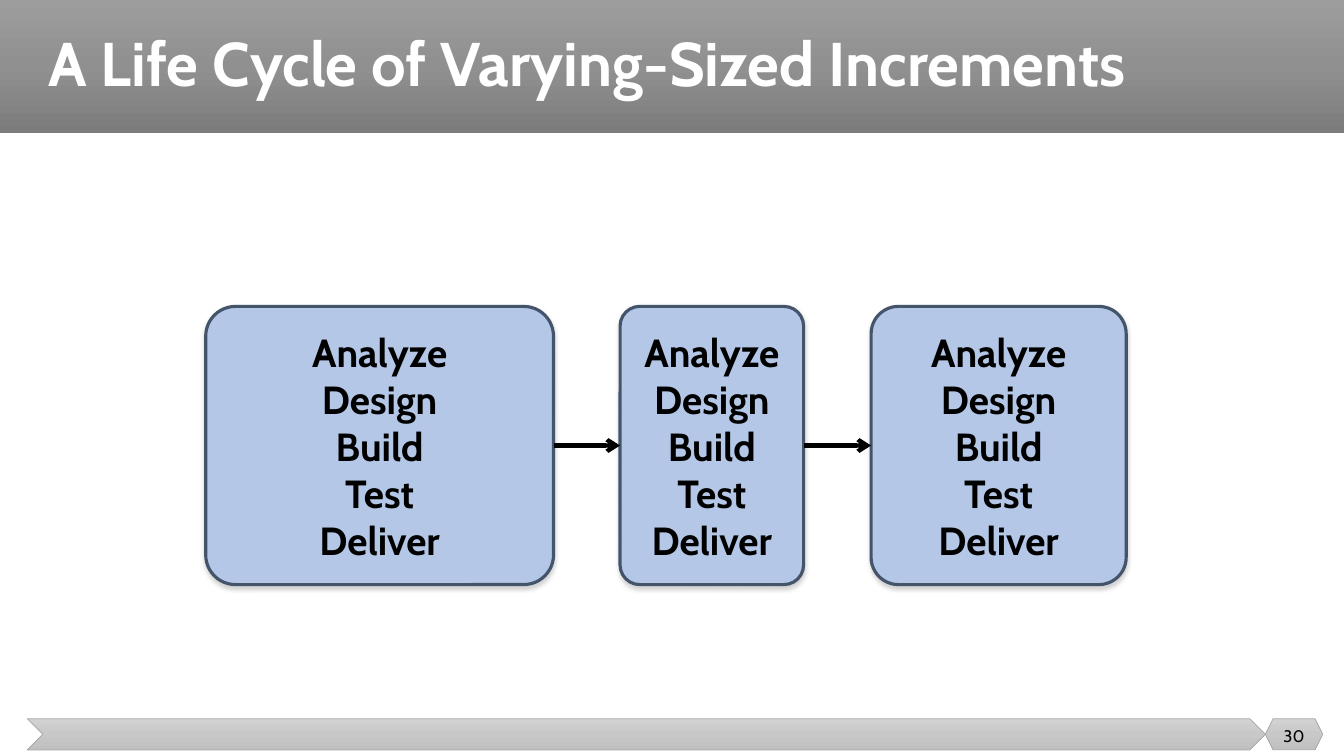
from copy import deepcopy

from lxml.etree import SubElement
from pptx import Presentation
from pptx.dml.color import RGBColor
from pptx.enum.shapes import MSO_CONNECTOR, MSO_SHAPE
from pptx.enum.text import MSO_ANCHOR, PP_ALIGN
from pptx.oxml import parse_xml
from pptx.oxml.ns import nsdecls, qn
from pptx.util import Inches, Pt

FONT = "Cabin"
COLORS = {
    "white": "FFFFFF",
    "black": "000000",
    "box": "B4C7E7",
    "box_line": "44546A",
    "footer_line": "A5A5A5",
    "shadow": "808080",
}
HEADER_GRADIENT = ["9D9D9D", "909090", "7C7C7C"]
FOOTER_GRADIENT = ["D2D2D2", "C8C8C8", "C0C0C0"]
STEPS = ["Analyze", "Design", "Build", "Test", "Deliver"]
INCREMENTS = [(2.04, 3.45), (6.15, 1.82), (8.64, 2.53)]


def color(name):
    return RGBColor.from_string(COLORS[name])


def style_paragraph(paragraph, size, color_name, bold=False):
    font = paragraph.font
    font.name = FONT
    font.size = Pt(size)
    font.bold = bold
    font.color.rgb = color(color_name)


def add_gradient_shape(slide, kind, box, gradient):
    shape = slide.shapes.add_shape(kind, *map(Inches, box))
    shape.shadow.inherit = False
    shape.line.fill.background()
    fill = shape.fill
    fill.gradient()
    fill.gradient_angle = 270
    stop_list = shape.element.spPr.find(qn("a:gradFill")).find(qn("a:gsLst"))
    stop_list.insert(1, deepcopy(stop_list[0]))
    for stop, position, shade in zip(fill.gradient_stops, (0, 0.5, 1), gradient):
        stop.position = position
        stop.color.rgb = RGBColor.from_string(shade)
    return shape


def add_header(slide, box, text):
    left, top, width, height = box
    add_gradient_shape(slide, MSO_SHAPE.RECTANGLE, box, HEADER_GRADIENT)
    title = slide.shapes.title
    slide.shapes.element.append(title.element)
    title.left, title.top = Inches(left + 0.38), Inches(top)
    title.width, title.height = Inches(width - 0.59), Inches(height)
    frame = title.text_frame
    frame.text = text
    frame.vertical_anchor = MSO_ANCHOR.MIDDLE
    paragraph = frame.paragraphs[0]
    paragraph.alignment = PP_ALIGN.LEFT
    paragraph.line_spacing = 0.9
    style_paragraph(paragraph, 44, "white", bold=True)


def add_footer(slide, box, page):
    left, top, width, height = box
    page_width = 0.57
    page_left = left + width - page_width
    for kind, part_left, part_width in (
        (MSO_SHAPE.CHEVRON, left, width - page_width),
        (MSO_SHAPE.HEXAGON, page_left, page_width),
    ):
        shape = add_gradient_shape(
            slide, kind, (part_left, top, part_width, height), FOOTER_GRADIENT
        )
        shape.line.color.rgb = color("footer_line")
        shape.line.width = Pt(0.5)
    number = slide.shapes.add_textbox(
        Inches(page_left), Inches(top - 0.03), Inches(page_width), Inches(0.4)
    )
    frame = number.text_frame
    frame.word_wrap = True
    frame.vertical_anchor = MSO_ANCHOR.MIDDLE
    frame.text = page
    frame.paragraphs[0].alignment = PP_ALIGN.CENTER
    style_paragraph(frame.paragraphs[0], 12, "black")


def add_shadow(shape):
    shape.element.spPr.append(parse_xml(
        f'<a:effectLst {nsdecls("a")}>'
        f'<a:outerShdw blurRad="{Pt(3.1)}" dist="{Pt(1.8)}" dir="5400000" rotWithShape="0">'
        f'<a:srgbClr val="{COLORS["shadow"]}"><a:alpha val="35000"/></a:srgbClr>'
        "</a:outerShdw></a:effectLst>"
    ))


def add_increment(slide, box):
    shape = slide.shapes.add_shape(MSO_SHAPE.ROUNDED_RECTANGLE, *map(Inches, box))
    shape.adjustments[0] = 0.107
    shape.fill.solid()
    shape.fill.fore_color.rgb = color("box")
    shape.line.color.rgb = color("box_line")
    shape.line.width = Pt(2.25)
    add_shadow(shape)
    frame = shape.text_frame
    frame.margin_left = frame.margin_right = frame.margin_top = frame.margin_bottom = 0
    frame.vertical_anchor = MSO_ANCHOR.MIDDLE
    frame.text = "\n".join(STEPS)
    for paragraph in frame.paragraphs:
        paragraph.alignment = PP_ALIGN.CENTER
        style_paragraph(paragraph, 28, "black", bold=True)
    return shape


def add_arrow(slide, source, target):
    arrow = slide.shapes.add_connector(MSO_CONNECTOR.STRAIGHT, 0, 0, 0, 0)
    arrow.begin_connect(source, 3)
    arrow.end_connect(target, 1)
    arrow.line.color.rgb = color("black")
    arrow.line.width = Pt(3)
    SubElement(arrow.line._get_or_add_ln(), qn("a:tailEnd"), type="arrow")
    SubElement(arrow.element.spPr, qn("a:effectLst"))


def add_life_cycle(slide, top, height):
    increments = [
        add_increment(slide, (left, top, width, height)) for left, width in INCREMENTS
    ]
    for source, target in zip(increments, increments[1:]):
        add_arrow(slide, source, target)


def main():
    presentation = Presentation()
    presentation.slide_width = Inches(13.33)
    presentation.slide_height = Inches(7.5)
    slide = presentation.slides.add_slide(presentation.slide_layouts[5])
    add_header(slide, (0, 0, 13.33, 1.32), "A Life Cycle of Varying-Sized Increments")
    add_footer(slide, (0.27, 7.13, 12.85, 0.31), "30")
    add_life_cycle(slide, 3.04, 2.76)
    presentation.save("out.pptx")


if __name__ == "__main__":
    main()
